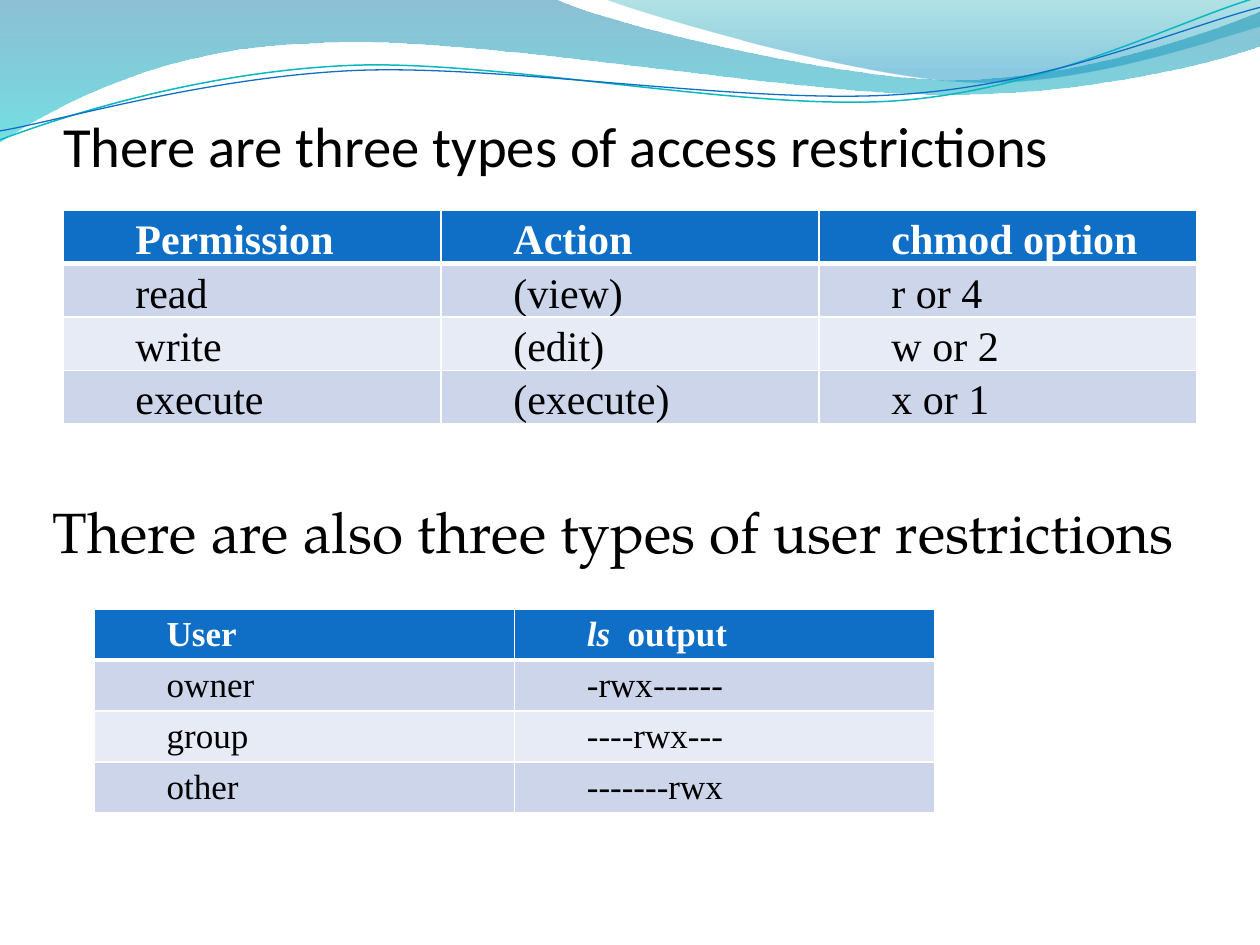
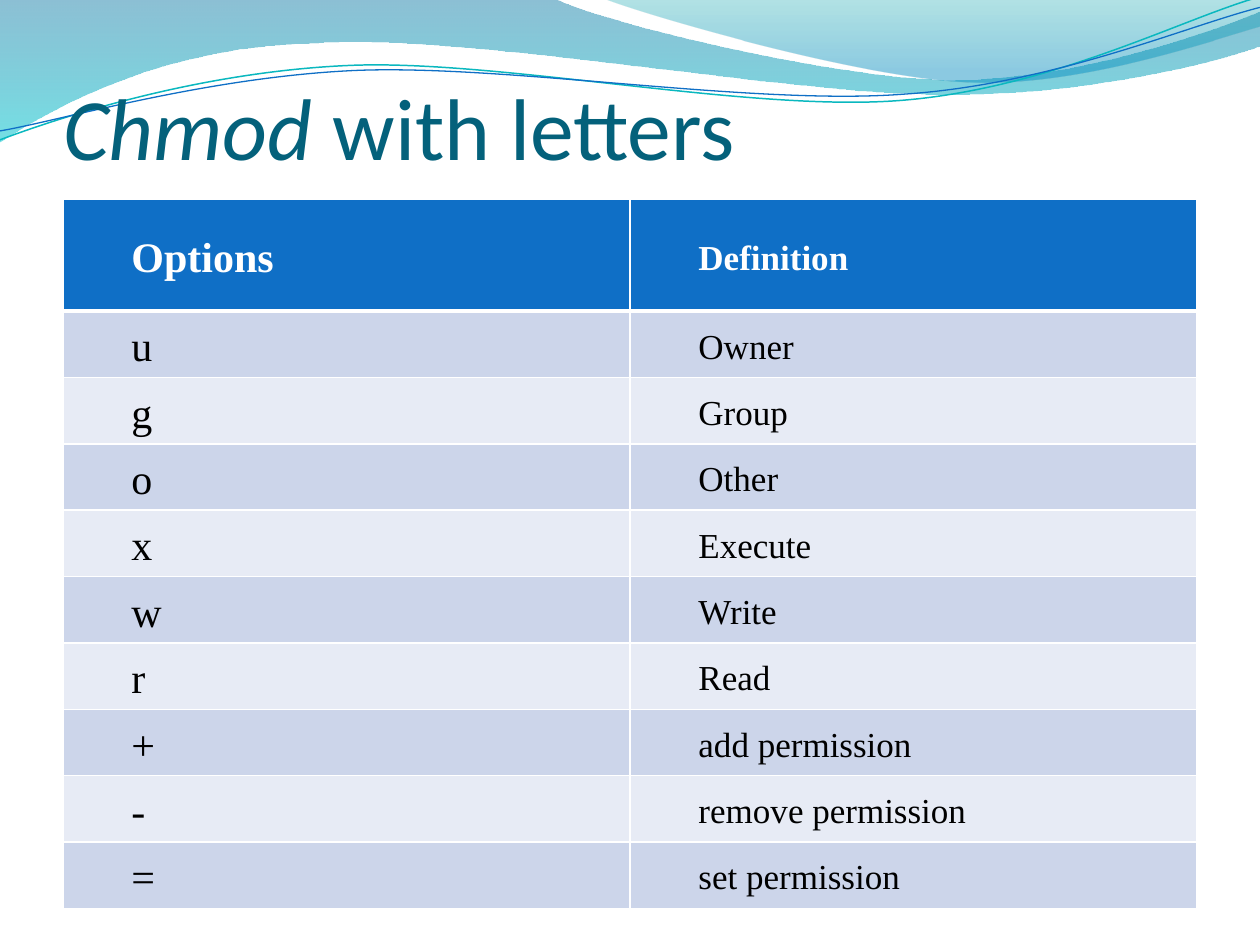
from dataclasses import dataclass

from lxml import etree
from pptx import Presentation
from pptx import util as u
from pptx.dml.color import RGBColor
from pptx.enum import text as t
from pptx.oxml.ns import qn


@dataclass(frozen=True)
class Theme:
    """Colours, fonts and type sizes of the deck."""
    black: str = "000000"
    white: str = "FFFFFF"
    blue: str = "0F6FC6"
    teal: str = "0AB8BF"
    heading: str = "04617B"
    bands: tuple = ("CCD5EA", "E7EBF5")
    wave: tuple = ((0, "0074A1", 45), (100, "00C6CF", 55))
    crest: tuple = ((0, "00A1A9", 30), (80, "008BBF", 45))
    title_font: str = "Calibri"
    caption_font: str = "TeX Gyre Pagella"
    table_font: str = "Times New Roman"
    title: float = 50
    subtitle: float = 32.4
    large: float = 24
    small: float = 20


THEME = Theme()

WAVE = [[(0, 0)], [(11.18, -0.03)],
        [(12.09, 0.43), (16.87, 1.6), (19.25, 1.6)],
        [(21.67, 1.6), (24.33, 0.66), (25.4, 0.23)],
        [(25.43, 0.91)],
        [(24.97, 1.12), (22.1, 1.93), (18.95, 1.9)],
        [(15.8, 1.9), (9.7, 0.71), (6.53, 0.86)],
        [(3.28, 0.91), (1.17, 2.11), (-0.03, 2.87)],
        [(0, 0)]]
CREST = [[(12.17, -0.03)],
         [(12.93, 0.28), (17.32, 1.57), (19.53, 1.65)],
         [(21.74, 1.75), (24.41, 0.81), (25.4, 0.53)],
         [(25.4, 0)], [(12.17, -0.03)]]
TEAL_STRAND = [[(0, 2.82)],
               [(1.22, 2.36), (4.01, 1.45), (7.04, 1.32)],
               [(10.03, 1.19), (15.06, 2.26), (18.11, 2.03)],
               [(21.16, 1.8), (23.83, 0.38), (25.35, -0.05)]]
BLUE_STRAND = [[(0, 2.64)],
               [(1.19, 2.44), (4.17, 1.55), (7.19, 1.42)],
               [(10.24, 1.3), (15.16, 2.13), (18.21, 1.9)],
               [(21.23, 1.7), (23.9, 0.53), (25.4, 0.15)]]

ACCESS = [("Permission", "Action", "chmod option"),
          ("read", "(view)", "r or 4"),
          ("write", "(edit)", "w or 2"),
          ("execute", "(execute)", "x or 1")]
USERS = [("User", [("ls", True), ("  output", False)]),
         ("owner", "-rwx------"),
         ("group", "----rwx---"),
         ("other", "-------rwx")]
LETTERS = [("Options", "Definition"), ("u", "Owner"), ("g", "Group"),
           ("o", "Other"), ("x", "Execute"), ("w", "Write"), ("r", "Read"),
           ("+", "add permission"), ("-", "remove permission"),
           ("=", "set permission")]


def put_text(frame, content, *, font, size, color, bold=False, indent=0,
             spacing=1.0, anchor=t.MSO_ANCHOR.BOTTOM):
    """Write a string, or (text, italic) pairs, as one formatted paragraph."""
    frame.word_wrap = True
    frame.vertical_anchor = anchor
    paragraph = frame.paragraphs[0]
    paragraph.alignment = t.PP_ALIGN.LEFT
    paragraph.line_spacing = spacing
    paragraph._p.get_or_add_pPr().set("marL", str(u.Cm(indent)))
    pieces = [(content, False)] if isinstance(content, str) else content
    for words, italic in pieces:
        run = paragraph.add_run()
        run.text = words
        run.font.name, run.font.size = font, u.Pt(size)
        run.font.bold, run.font.italic = bold, italic
        run.font.color.rgb = RGBColor.from_string(color)


def add_curve(slide, segments, close):
    """Add an outline of lines (one point) and cubic curves (three points)."""
    points = [(u.Cm(x), u.Cm(y)) for segment in segments for x, y in segment]
    builder = slide.shapes.build_freeform(*points[0])
    builder.add_line_segments(points[1:], close=close)
    curve = builder.convert_to_shape()
    curve.shadow.inherit = False
    corners = iter(list(curve.element.spPr.iter(qn("a:lnTo"))))
    for segment in segments[1:]:
        steps = [next(corners) for _ in segment]
        if len(steps) == 3:
            bend = etree.Element(qn("a:cubicBezTo"))
            steps[0].addprevious(bend)
            for step in steps:
                bend.append(step[0])
                step.getparent().remove(step)
    return curve


def add_ribbon(slide, segments, stops):
    """Add a closed ribbon with a see-through vertical gradient."""
    ribbon = add_curve(slide, segments, True)
    ribbon.line.fill.background()
    ribbon.fill.gradient()
    gradient = ribbon.element.spPr.find(qn("a:gradFill"))
    for child in list(gradient):
        gradient.remove(child)
    stop_list = etree.SubElement(gradient, qn("a:gsLst"))
    for position, color, opacity in stops:
        stop = etree.SubElement(stop_list, qn("a:gs"), pos=str(position * 1000))
        tint = etree.SubElement(stop, qn("a:srgbClr"), val=color)
        etree.SubElement(tint, qn("a:alpha"), val=str(opacity * 1000))
    etree.SubElement(gradient, qn("a:lin"), ang="5400000", scaled="0")
    return ribbon


def add_strand(slide, segments, color, width):
    """Add an open curved line."""
    strand = add_curve(slide, segments, False)
    strand.fill.background()
    strand.line.color.rgb = RGBColor.from_string(color)
    strand.line.width = u.Pt(width)
    return strand


def add_wave_band(slide):
    """Draw the wave band and hand it to the master that the slides share."""
    band = [add_ribbon(slide, WAVE, THEME.wave),
            add_ribbon(slide, CREST, THEME.crest),
            add_strand(slide, TEAL_STRAND, THEME.teal, 0.85),
            add_strand(slide, BLUE_STRAND, THEME.blue, 0.75)]
    tree = slide.slide_layout.slide_master.element.cSld.spTree
    for index, part in enumerate(band):
        tree.insert(2 + index, part.element)


def set_margins(holder, left, top, right, bottom):
    """Set the inner margins of a cell or text frame in centimetres."""
    holder.margin_left, holder.margin_top = u.Cm(left), u.Cm(top)
    holder.margin_right, holder.margin_bottom = u.Cm(right), u.Cm(bottom)


def add_heading(shape, box, content, **style):
    """Place a heading in its box and write it."""
    shape.left, shape.top, shape.width, shape.height = map(u.Cm, box)
    frame = shape.text_frame
    frame.auto_size = t.MSO_AUTO_SIZE.NONE
    set_margins(frame, 0, 0.13, 0, 0)
    put_text(frame, content, **style)


def add_borders(cell, row):
    """Draw white cell borders, thick below the header row."""
    top, bottom = (3 if row == 1 else 1), (3 if row == 0 else 1)
    sides = (("L", 1), ("R", 1), ("T", top), ("B", bottom))
    for index, (side, width) in enumerate(sides):
        line = etree.Element(qn(f"a:ln{side}"), w=str(u.Pt(width)))
        fill = etree.SubElement(line, qn("a:solidFill"))
        etree.SubElement(fill, qn("a:srgbClr"), val=THEME.white)
        cell._tc.get_or_add_tcPr().insert(index, line)


def add_grid(slide, box, rows, sizes, margins, anchor, header_height=None):
    """Add a banded table with equal columns and equal body rows."""
    left, top, width, height = box
    header_height = header_height or height / len(rows)
    body_height = (height - header_height) / (len(rows) - 1)
    table = slide.shapes.add_table(len(rows), len(sizes), *map(u.Cm, box)).table
    table.horz_banding = False
    for column in table.columns:
        column.width = u.Cm(width / len(sizes))
    for r, entries in enumerate(rows):
        table.rows[r].height = u.Cm(body_height if r else header_height)
        for c, entry in enumerate(entries):
            cell = table.cell(r, c)
            cell.fill.solid()
            cell.fill.fore_color.rgb = RGBColor.from_string(
                THEME.bands[(r - 1) % 2] if r else THEME.blue)
            add_borders(cell, r)
            set_margins(cell, *margins)
            cell.vertical_anchor = anchor
            put_text(cell.text_frame, entry, font=THEME.table_font,
                     size=sizes[c], color=THEME.black if r else THEME.white,
                     bold=r == 0, indent=1.27, spacing=1.15, anchor=None)


def build_restrictions(slide):
    """Fill the slide on access and user restrictions."""
    style = dict(size=THEME.subtitle, color=THEME.black)
    tight = dict(margins=(0.19, 0, 0.19, 0), anchor=t.MSO_ANCHOR.TOP)
    add_heading(slide.shapes.title, (1.27, 1.96, 22.86, 1.65),
                "There are three types of access restrictions",
                font=THEME.title_font, **style)
    add_grid(slide, (1.27, 4.24, 22.86, 4.28), ACCESS, [THEME.large] * 3, **tight)
    add_grid(slide, (1.9, 12.28, 16.94, 4.11), USERS, [THEME.small] * 2, **tight)
    caption_box = (1.06, 9.73, 22.86, 1.65)
    add_heading(slide.shapes.add_textbox(*map(u.Cm, caption_box)), caption_box,
                "There are also three types of user restrictions",
                font=THEME.caption_font, **style)


def build_letters(slide):
    """Fill the slide on chmod letters."""
    add_heading(slide.shapes.title, (1.27, 0.84, 22.86, 2.74),
                [("Chmod", True), (" with letters", False)],
                font=THEME.title_font, size=THEME.title, color=THEME.heading)
    add_grid(slide, (1.27, 4.02, 22.86, 14.3), LETTERS,
             [THEME.large, THEME.small], margins=(0.11,) * 4,
             anchor=t.MSO_ANCHOR.MIDDLE, header_height=2.25)


def main():
    """Build and save the deck."""
    deck = Presentation()
    deck.slide_width, deck.slide_height = u.Cm(25.4), u.Cm(19.05)
    title_only = deck.slide_layouts[5]
    restrictions, letters = (deck.slides.add_slide(title_only) for _ in range(2))
    add_wave_band(restrictions)
    build_restrictions(restrictions)
    build_letters(letters)
    deck.save("out.pptx")


if __name__ == "__main__":
    main()
